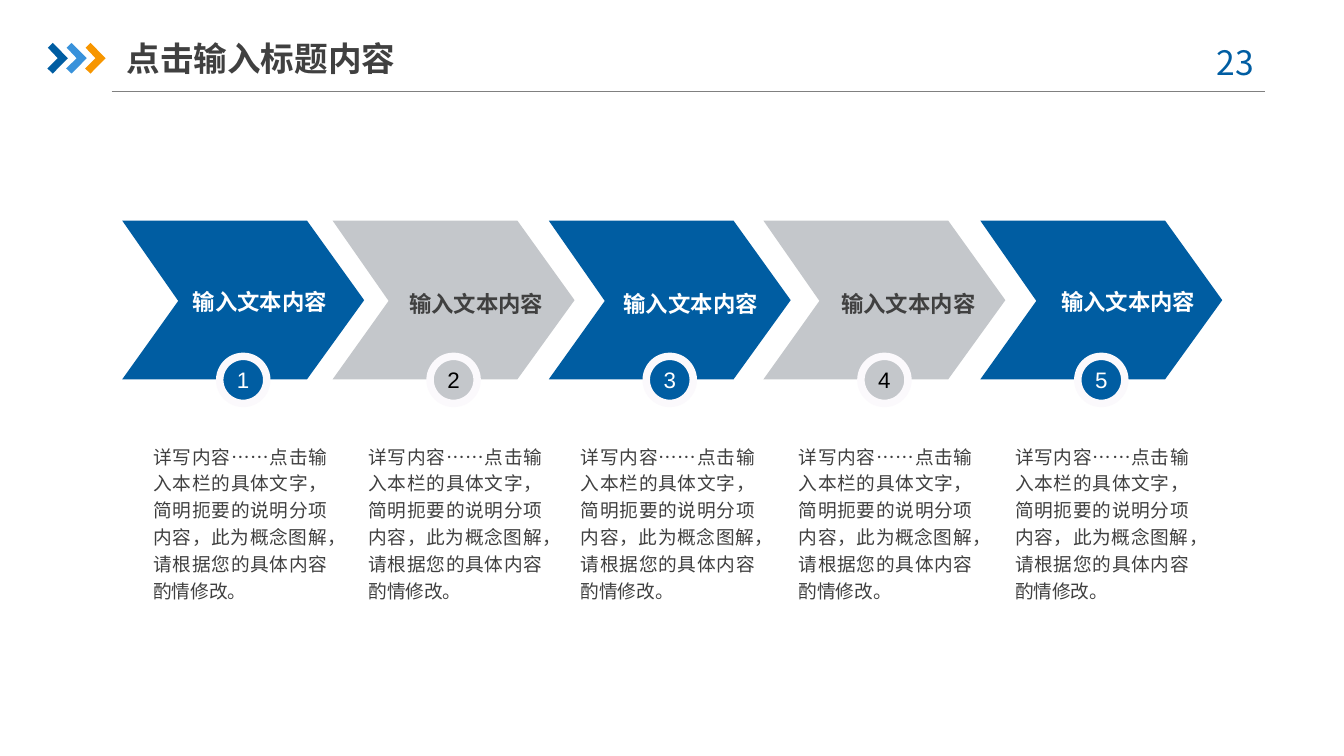
from lxml import etree
from pptx import Presentation
from pptx.dml.color import RGBColor
from pptx.enum.shapes import MSO_CONNECTOR, MSO_SHAPE
from pptx.enum.text import MSO_ANCHOR, MSO_AUTO_SIZE, PP_ALIGN
from pptx.oxml.ns import qn
from pptx.util import Pt

BLUE = RGBColor(0x00, 0x5D, 0xA2)
SKY = RGBColor(0x39, 0x92, 0xDB)
ORANGE = RGBColor(0xF7, 0x96, 0x00)
SILVER = RGBColor(0xC4, 0xC7, 0xCB)
GRAY = RGBColor(0x80, 0x80, 0x80)
DARK = RGBColor(0x40, 0x40, 0x40)
BLACK = RGBColor(0, 0, 0)
WHITE = RGBColor(0xFF, 0xFF, 0xFF)
PALE = RGBColor(0xFB, 0xF9, 0xFC)

LEFT, CENTER, JUSTIFY = PP_ALIGN.LEFT, PP_ALIGN.CENTER, PP_ALIGN.JUSTIFY
TOP, MIDDLE = MSO_ANCHOR.TOP, MSO_ANCHOR.MIDDLE
NO_FIT = MSO_AUTO_SIZE.NONE
OVAL, STRAIGHT = MSO_SHAPE.OVAL, MSO_CONNECTOR.STRAIGHT
HAN, LATIN = "Noto Sans CJK SC", "Arial"


class Deck:
    def __init__(self, wide, high):
        self.prs = Presentation()
        self.prs.slide_width, self.prs.slide_height = Pt(wide), Pt(high)
        self.slide = self.prs.slides.add_slide(self.prs.slide_layouts[5])
        self.shapes = self.slide.shapes

    def label(self, shape, text, size, color, font=HAN, bold=False,
              align=CENTER, anchor=MIDDLE, space=1.0):
        frame = shape.text_frame
        frame.word_wrap = True
        frame.auto_size = NO_FIT
        frame.vertical_anchor = anchor
        frame.margin_left = frame.margin_right = 0
        frame.margin_top = frame.margin_bottom = 0
        para = frame.paragraphs[0]
        para.alignment, para.line_spacing = align, space
        run = para.add_run()
        run.text = text
        run.font.size, run.font.bold = Pt(size), bold
        run.font.name = font
        run.font.color.rgb = color
        props = run.font._element
        props.set("lang", "zh-CN")
        latin = props.find(qn("a:latin"))
        east = etree.Element(qn("a:ea"), typeface=font)
        latin.addnext(east)

    def title(self, text, x, y, w, h, size, color):
        shape = self.shapes.title
        shape.left, shape.top = Pt(x), Pt(y)
        shape.width, shape.height = Pt(w), Pt(h)
        self.label(shape, text, size, color, bold=True, align=LEFT)

    def text(self, text, x, y, w, h, size, color, **style):
        box = self.shapes.add_textbox(Pt(x), Pt(y), Pt(w), Pt(h))
        self.label(box, text, size, color, **style)

    def outline(self, x, y, points, fill):
        spots = [(Pt(x + a), Pt(y + b)) for a, b in points]
        pen = self.shapes.build_freeform(*spots[0])
        pen.add_line_segments(spots[1:], close=True)
        shape = pen.convert_to_shape()
        shape.shadow.inherit = False
        shape.fill.solid()
        shape.fill.fore_color.rgb = fill
        shape.line.fill.background()

    def badge(self, text, x, y, size, fill, color):
        shape = self.shapes.add_shape(OVAL, Pt(x), Pt(y), Pt(size), Pt(size))
        shape.shadow.inherit = False
        shape.fill.solid()
        shape.fill.fore_color.rgb = fill
        shape.line.color.rgb, shape.line.width = PALE, Pt(4)
        self.label(shape, text, 12, color, font=LATIN)
        shape.text_frame.word_wrap = False

    def rule(self, x, y, end, color, width):
        line = self.shapes.add_connector(STRAIGHT, Pt(x), Pt(y), Pt(end), Pt(y))
        line.line.color.rgb, line.line.width = color, Pt(width)
        etree.SubElement(line._element.spPr, qn("a:effectLst"))


deck = Deck(720, 405)

# Header
deck.rule(59.8, 49.2, 677.5, GRAY, 0.75)
MARK = [(0.3, 2.6), (2.9, 0), (11, 8.2), (2.9, 16.4), (0, 13.7), (5.6, 8.2)]
for i, color in enumerate((BLUE, SKY, ORANGE)):
    deck.outline(25.4 + 10.1 * i, 23, MARK, color)
deck.text("23", 635.5, 22.3, 52.6, 22, 18, BLUE, anchor=TOP)
deck.title("点击输入标题内容", 67.8, 15.8, 168, 30.2, 18, DARK)

# Steps: arrow left, label centre, label middle, detail left
STEPS = [(65.5, 139.3, 161.4, 82.2), (178.2, 255.2, 162.8, 197.4),
         (294, 370.1, 162.8, 311.2), (409, 486.7, 162.8, 427.9),
         (525.2, 604.5, 161.7, 543.8)]
ARROW = [(0, 0), (30, 43), (0, 85), (99, 85), (129.6, 42.6), (99, 0)]
DETAIL = ("详写内容……点击输入本栏的具体文字，简明扼要的说明分项内容，"
          "此为概念图解，请根据您的具体内容酌情修改。")
for i, (left, mid, row, note) in enumerate(STEPS):
    odd = i % 2
    fill = SILVER if odd else BLUE
    deck.outline(left, 118.2, ARROW, fill)
    deck.text("输入文本内容", mid - 43, row - 8, 86, 16, 12,
              DARK if odd else WHITE, bold=True)
    deck.badge(str(i + 1), left + 52.2, 190.9, 25.2, fill,
               BLACK if odd else WHITE)
    deck.text(DETAIL, note, 236.2, 93.2, 85.7, 10, DARK,
              align=JUSTIFY, anchor=TOP, space=1.2)

deck.prs.save("out.pptx")
